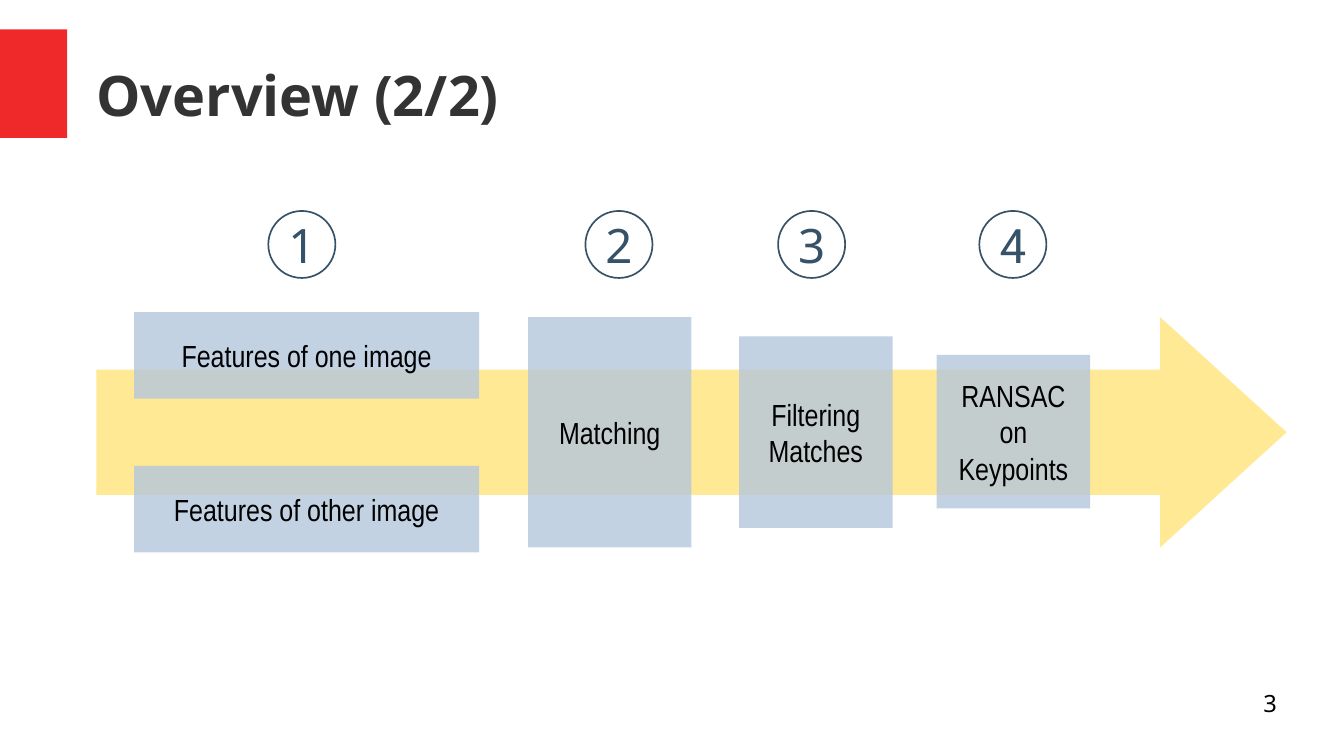
"""Build the overview slide: four numbered steps on a process arrow."""
from lxml import etree
from pptx import Presentation
from pptx.dml.color import RGBColor
from pptx.enum import shapes, text
from pptx.oxml import ns
from pptx.util import Inches, Pt

TITLE = "Overview (2/2)"
PAGE_NUMBER = "3"
STEPS = [
    (4.33, 2.6, 1.34, 1.89, ["Matching"]),
    (6.06, 2.76, 1.26, 1.57, ["Filtering", "Matches"]),
    (7.68, 2.91, 1.26, 1.26, ["RANSAC", "on", "Keypoints"]),
    (1.1, 2.56, 2.83, 0.71, ["Features of one image"]),
    (1.1, 3.82, 2.83, 0.71, ["Features of other image"]),
]
NUMBERS = [
    ("1", 2.2, "Noto Sans"),
    ("2", 4.8, "Noto Sans"),
    ("3", 6.38, "Noto Sans"),
    ("4", 8.03, "Roboto"),
]
NUMBER_TOP, NUMBER_SIZE = 1.73, 0.55
STEP_OPACITY = 80


def color(value):
    return RGBColor.from_string(value)


def write(box, lines, size, font, ink, align, margins=(0, 0), bold=False,
          anchor=text.MSO_ANCHOR.MIDDLE, wrap=True):
    frame = box.text_frame
    frame.word_wrap = wrap
    frame.auto_size = text.MSO_AUTO_SIZE.NONE
    frame.vertical_anchor = anchor
    frame.margin_left = frame.margin_right = Inches(margins[0])
    frame.margin_top = frame.margin_bottom = Inches(margins[1])
    para = frame.paragraphs[0]
    para.alignment = align
    for index, line in enumerate(lines):
        if index:
            para.add_line_break()
        span = para.add_run()
        span.text = line
        span.font.size = Pt(size)
        span.font.name = font
        span.font.bold = bold
        span.font.color.rgb = color(ink)


def add_shape(page, kind, left, top, width, height, fill=None, line=None):
    shape = page.shapes.add_shape(
        kind, Inches(left), Inches(top), Inches(width), Inches(height))
    shape.shadow.inherit = False
    if fill:
        shape.fill.solid()
        shape.fill.fore_color.rgb = color(fill)
    else:
        shape.fill.background()
    if line:
        shape.line.color.rgb = color(line)
        shape.line.width = Pt(1)
    else:
        shape.line.fill.background()
    return shape


def set_opacity(shape, percent):
    tint = shape.fill._xPr.find(".//" + ns.qn("a:srgbClr"))
    alpha = etree.SubElement(tint, ns.qn("a:alpha"))
    alpha.set("val", str(percent * 1000))


def main():
    deck = Presentation()
    deck.slide_width, deck.slide_height = Inches(11.02), Inches(6.2)
    page = deck.slides.add_slide(deck.slide_layouts[5])
    kinds, align = shapes.MSO_SHAPE, text.PP_ALIGN

    title = page.shapes.title
    title.left, title.top = Inches(0.79), Inches(0.25)
    title.width, title.height = Inches(9.68), Inches(1.04)
    write(title, [TITLE], 33, "Noto Sans", "333333", align.LEFT, bold=True)

    add_shape(page, kinds.RECTANGLE, 0, 0.24, 0.55, 0.89, "EF2929")
    arrow = add_shape(page, kinds.RIGHT_ARROW, 0.79, 2.6, 9.76, 1.89, "FFE994")
    arrow.adjustments[0], arrow.adjustments[1] = 0.544, 0.549

    for left, top, width, height, lines in STEPS:
        step = add_shape(page, kinds.RECTANGLE, left, top, width, height, "B4C7DC")
        set_opacity(step, STEP_OPACITY)
        write(step, lines, 18, "Arial Narrow", "000000", align.CENTER,
              (0.1, 0.05), wrap=False)

    for label, left, font in NUMBERS:
        circle = add_shape(page, kinds.OVAL, left, NUMBER_TOP,
                           NUMBER_SIZE, NUMBER_SIZE, line="355269")
        write(circle, [label], 28, font, "355269", align.CENTER,
              (0.11, 0.06), wrap=False)

    number = page.shapes.add_textbox(
        Inches(7.9), Inches(5.65), Inches(2.57), Inches(0.43))
    write(number, [PAGE_NUMBER], 14, "Noto Sans", "000000", align.RIGHT,
          anchor=text.MSO_ANCHOR.TOP)
    deck.save("out.pptx")


if __name__ == "__main__":
    main()
